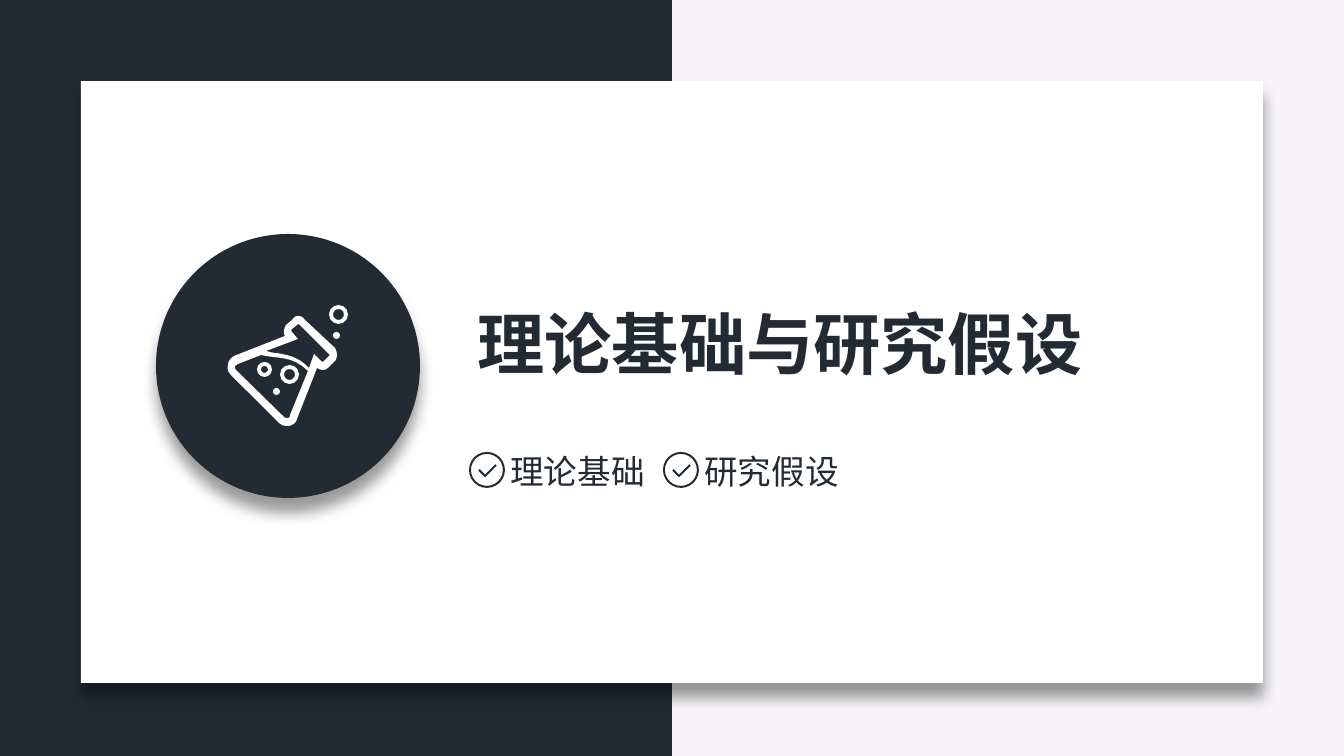
from lxml import etree
from pptx import Presentation
from pptx.dml.color import RGBColor
from pptx.enum.shapes import MSO_SHAPE
from pptx.enum.text import MSO_ANCHOR, MSO_AUTO_SIZE, PP_ALIGN
from pptx.oxml.ns import qn
from pptx.util import Pt

RECT, OVAL, RING = MSO_SHAPE.RECTANGLE, MSO_SHAPE.OVAL, MSO_SHAPE.DONUT
LEFT, TOP = PP_ALIGN.LEFT, MSO_ANCHOR.TOP
GROW = MSO_AUTO_SIZE.SHAPE_TO_FIT_TEXT

SCALE = 914400 / 134.4
FONT = "Noto Sans CJK SC"
COLORS = {"dark": "222B34", "pale": "F6F4F7", "white": "FFFFFF", "black": "000000"}

# Each outline starts at a point; 2 numbers draw a line, 6 a cubic curve.
GLASS = [
    (305, 320), (303, 317, 301, 316, 298, 316), (296, 316, 294, 317, 292, 320),
    (286, 325), (285, 327, 284, 329, 284, 331), (284, 333, 284, 335, 285, 336),
    (234, 356), (231, 358, 228, 361, 228, 365), (227, 369, 228, 372, 231, 375),
    (278, 422), (281, 425, 284, 426, 287, 426), (287, 426, 288, 426, 289, 426),
    (293, 425, 296, 423, 297, 419), (317, 368), (319, 369, 321, 370, 322, 370),
    (325, 370, 327, 369, 329, 367), (335, 361), (336, 360, 337, 357, 337, 355),
    (337, 353, 336, 350, 335, 348),
]
NECK = [
    (329, 356), (324, 361), (323, 362, 322, 362, 321, 361), (314, 354), (309, 368),
    (298, 356, 286, 355, 277, 353), (273, 353, 270, 352, 266, 351), (298, 339),
    (292, 332), (291, 331, 291, 330, 292, 329), (297, 325),
    (298, 324, 299, 324, 300, 325), (329, 354), (330, 355, 330, 355, 329, 356),
]
LIQUID = [
    (290, 415), (290, 417, 289, 418, 288, 418), (286, 418, 285, 418, 284, 417),
    (236, 370), (235, 369, 235, 368, 235, 367), (235, 366, 236, 365, 238, 364),
    (261, 355), (277, 359, 292, 355, 308, 371),
]
BUBBLES = [(280, 365, 19), (329, 305, 19), (257, 362, 15)]
DOTS = [(273, 388, 7), (333, 332, 7)]


def px(value):
    return round(value * SCALE)


def rgb(name):
    return RGBColor.from_string(COLORS[name])


def add_shape(slide, kind, box, color):
    shape = slide.shapes.add_shape(kind, *map(px, box))
    shape.shadow.inherit = False
    shape.fill.solid()
    shape.fill.fore_color.rgb = rgb(color)
    shape.line.fill.background()
    return shape


def add_ring(slide, box, color, thick):
    ring = add_shape(slide, RING, box, color)
    ring.adjustments[0] = thick / box[2]


def add_shadow(shape):
    """Drop a soft shadow straight down."""
    effects = shape._element.spPr.find(qn("a:effectLst"))
    drop = etree.SubElement(
        effects, qn("a:outerShdw"), blurRad=str(Pt(8)), dist=str(Pt(8)),
        dir="5400000", algn="t", rotWithShape="0")
    tint = etree.SubElement(drop, qn("a:srgbClr"), val=COLORS["black"])
    etree.SubElement(tint, qn("a:alpha"), val="40000")


def set_text(shape, text, size, bold=False):
    frame = shape.text_frame
    frame.word_wrap = False
    frame.auto_size = GROW
    frame.vertical_anchor = TOP
    para = frame.paragraphs[0]
    para.alignment = LEFT
    run = para.add_run()
    run.text = text
    font = run.font
    font.size, font.bold, font.name = Pt(size), bold, FONT
    font.color.rgb = rgb("dark")
    etree.SubElement(run._r.get_or_add_rPr(), qn("a:ea"), typeface=FONT)


def add_title(slide, box, text):
    title = slide.shapes.title
    title.left, title.top, title.width, title.height = map(px, box)
    set_text(title, text, 36, True)


def trace(outline, steps=8):
    """Turn lines and cubic curves into a list of EMU points."""
    points = [outline[0]]
    for part in outline[1:]:
        if len(part) == 2:
            points.append(part)
            continue
        start, one, two, end = points[-1], part[:2], part[2:4], part[4:]
        for step in range(1, steps + 1):
            t = step / steps
            u = 1 - t
            points.append(tuple(
                u**3 * a + 3 * u * u * t * b + 3 * u * t * t * c + t**3 * d
                for a, b, c, d in zip(start, one, two, end)))
    return [(px(x), px(y)) for x, y in points]


def add_path(slide, outlines, close):
    first, *rest = [trace(outline) for outline in outlines]
    pen = slide.shapes.build_freeform(*first[0], scale=1)
    pen.add_line_segments(first[1:], close=close)
    for points in rest:
        pen.move_to(*points[0])
        pen.add_line_segments(points[1:], close=close)
    shape = pen.convert_to_shape()
    shape.shadow.inherit = False
    return shape


def add_flask(slide):
    flask = add_path(slide, [GLASS, NECK, LIQUID], True)
    flask.fill.solid()
    flask.fill.fore_color.rgb = rgb("white")
    flask.line.fill.background()
    for x, y, size in BUBBLES:
        add_ring(slide, (x, y, size, size), "white", 4)
    for x, y, size in DOTS:
        add_shape(slide, OVAL, (x, y, size, size), "white")


def add_topic(slide, x, text):
    """Add a ticked circle with its label."""
    add_ring(slide, (x, 452, 36, 36), "dark", 2)
    tick = add_path(slide, [[(x + 10, 470), (x + 16, 476), (x + 27, 465)]], False)
    tick.fill.background()
    tick.line.color.rgb = rgb("dark")
    tick.line.width = px(2)
    label = slide.shapes.add_textbox(*map(px, (x + 28, 444, 163, 54)))
    set_text(label, text, 18)


def main():
    deck = Presentation()
    deck.slide_width, deck.slide_height = px(1344), px(756)
    slide = deck.slides.add_slide(deck.slide_layouts[5])
    slide.background.fill.solid()
    slide.background.fill.fore_color.rgb = rgb("pale")

    add_shape(slide, RECT, (0, 0, 672, 756), "dark")
    add_shadow(add_shape(slide, RECT, (81, 81, 1182, 602), "white"))
    add_shadow(add_shape(slide, OVAL, (156, 234, 264, 264), "dark"))
    add_flask(slide)

    add_title(slide, (464, 296, 638, 95), "理论基础与研究假设")
    # The title placeholder comes first in the tree; lift it over the card.
    slide.shapes._spTree.append(slide.shapes.title._element)
    for i, topic in enumerate(["理论基础", "研究假设"]):
        add_topic(slide, 469 + 194 * i, topic)
    deck.save("out.pptx")


if __name__ == "__main__":
    main()
